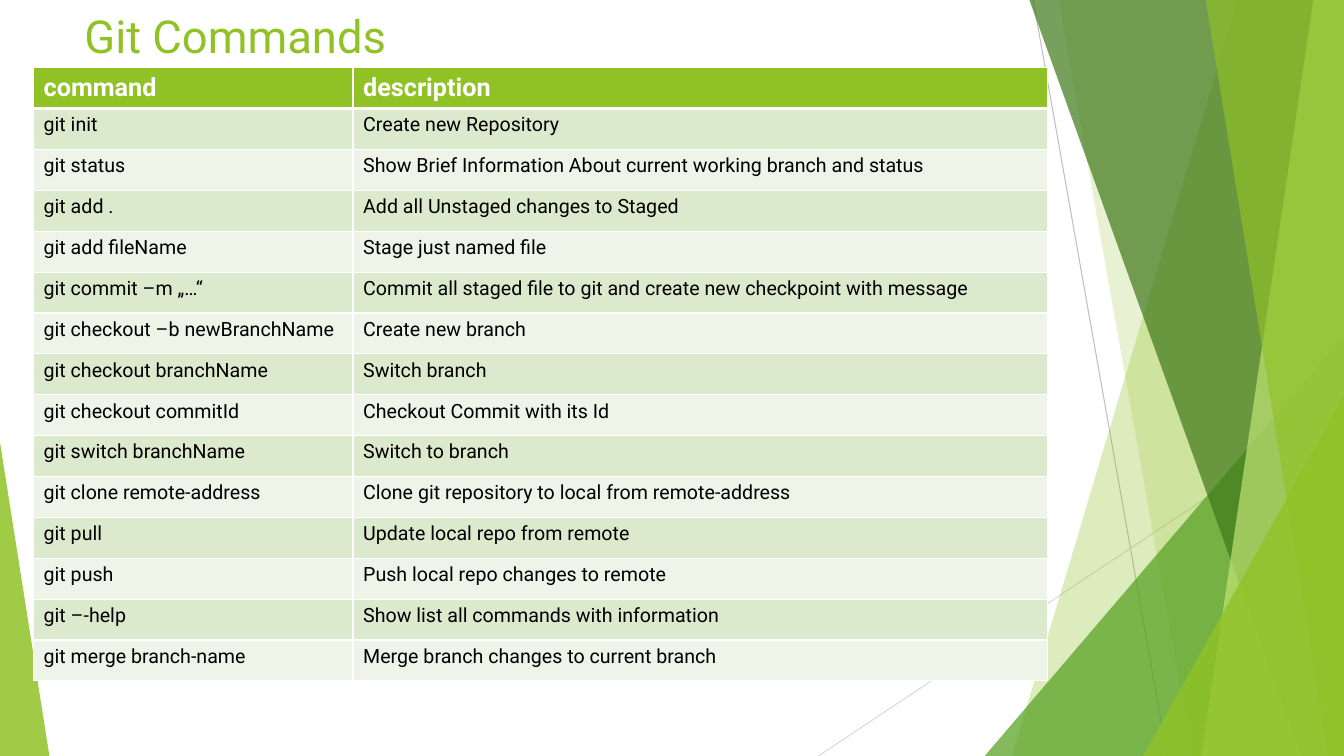
from lxml import etree
from pptx import Presentation
from pptx.dml.color import RGBColor
from pptx.enum.shapes import MSO_CONNECTOR, MSO_SHAPE
from pptx.enum.text import MSO_ANCHOR
from pptx.oxml.ns import qn
from pptx.util import Pt

WIDTH, HEIGHT = 960, 540
GREEN, WHITE, BLACK = "90C226", "FFFFFF", "000000"
BANDS = ("DBE9CD", "EEF4E8")
ROW_HEIGHT = 29.2
COLUMN_WIDTHS = (228.2, 496.1)
HEADINGS = ("command", "description")
COMMANDS = [
    ("git init", "Create new Repository"),
    ("git status", "Show Brief Information About current working branch and status"),
    ("git add .", "Add all Unstaged changes to Staged"),
    ("git add fileName", "Stage just named file"),
    ("git commit –m „…“", "Commit all staged file to git and create new checkpoint with message"),
    ("git checkout –b newBranchName", "Create new branch"),
    ("git checkout branchName", "Switch branch"),
    ("git checkout commitId", "Checkout Commit with its Id"),
    ("git switch branchName", "Switch to branch"),
    ("git clone remote-address", "Clone git repository to local from remote-address"),
    ("git pull", "Update local repo from remote"),
    ("git push", "Push local repo changes to remote"),
    ("git –-help", "Show list all commands with information"),
    ("git merge branch-name", "Merge branch changes to current branch"),
]


def paint(fill, color, opacity=100):
    """Make a fill solid; opacity is a percentage."""
    fill.solid()
    fill.fore_color.rgb = RGBColor.from_string(color)
    if opacity < 100:
        tint = fill._xPr.find(qn("a:solidFill"))[0]
        etree.SubElement(tint, qn("a:alpha"), val=str(opacity * 1000))


def finish_shape(shape, color, opacity):
    shape.shadow.inherit = False
    shape.line.fill.background()
    paint(shape.fill, color, opacity)


def add_thin_line(page, start, end, color):
    points = [Pt(value) for value in (*start, *end)]
    line = page.shapes.add_connector(MSO_CONNECTOR.STRAIGHT, *points)
    line.line.width = Pt(0.75)
    paint(line.line.fill, color)
    etree.SubElement(line._element.spPr, qn("a:effectLst"))


def add_blade(page, top_x, bottom_x, color, opacity):
    """Fill from a slanted left edge to the right side of the page."""
    top = Pt(-0.6)
    builder = page.shapes.build_freeform(Pt(top_x), top)
    builder.add_line_segments([
        (Pt(WIDTH), top), (Pt(WIDTH), Pt(HEIGHT)), (Pt(bottom_x), Pt(HEIGHT))])
    finish_shape(builder.convert_to_shape(), color, opacity)


def add_corner_triangle(page, left, top, width, apex, color, opacity):
    """Stand a triangle on the bottom edge; apex 0 is left, 1 is right."""
    triangle = page.shapes.add_shape(
        MSO_SHAPE.ISOSCELES_TRIANGLE, Pt(left), Pt(top), Pt(width), Pt(HEIGHT - top))
    triangle.adjustments[0] = apex
    finish_shape(triangle, color, opacity)


def write(frame, text, size, color, bold=False):
    span = frame.paragraphs[0].add_run()
    span.text = text
    span.font.name = "Roboto"
    span.font.size = Pt(size)
    span.font.bold = bold
    span.font.color.rgb = RGBColor.from_string(color)


def add_title(page, text):
    box = page.shapes.add_textbox(Pt(53.3), Pt(0), Pt(676.8), Pt(48.24))
    box.text_frame.word_wrap = True
    box.text_frame.vertical_anchor = MSO_ANCHOR.BOTTOM
    write(box.text_frame, text, size=32.4, color=GREEN)


def add_borders(cell, top, bottom):
    """Draw white borders, 1 pt at the sides; call before filling the cell."""
    properties = cell._tc.get_or_add_tcPr()
    for side, width in (("L", 1), ("R", 1), ("T", top), ("B", bottom)):
        border = etree.SubElement(properties, qn(f"a:ln{side}"), w=str(Pt(width)))
        solid = etree.SubElement(border, qn("a:solidFill"))
        etree.SubElement(solid, qn("a:srgbClr"), val=WHITE)


def add_command_table(page):
    rows = [HEADINGS, *COMMANDS]
    table = page.shapes.add_table(
        len(rows), len(HEADINGS), Pt(24), Pt(48.4),
        Pt(sum(COLUMN_WIDTHS)), Pt(ROW_HEIGHT * len(rows))).table
    for column, width in zip(table.columns, COLUMN_WIDTHS):
        column.width = Pt(width)
    for index, texts in enumerate(rows):
        table.rows[index].height = Pt(ROW_HEIGHT)
        heading = index == 0
        for cell, text in zip(table.rows[index].cells, texts):
            add_borders(cell, top=3 if index == 1 else 1, bottom=3 if heading else 1)
            if heading:
                paint(cell.fill, GREEN)
                write(cell.text_frame, text, size=18, color=WHITE, bold=True)
            else:
                paint(cell.fill, BANDS[(index - 1) % 2])
                write(cell.text_frame, text, size=14, color=BLACK)


def add_backdrop(page):
    add_thin_line(page, (738, 0), (833.8, HEIGHT), "BFBFBF")
    add_thin_line(page, (WIDTH, 290.2), (584.6, HEIGHT), "D9D9D9")
    add_blade(page, 884.2, 722.9, GREEN, 30)
    add_blade(page, 756, 851.8, GREEN, 20)
    add_corner_triangle(page, 703.4, 239.8, 256.6, 1, "54A021", 72)
    add_blade(page, 735.1, 929.5, "3F7819", 70)
    add_blade(page, 938.2, 858.2, "C0E474", 70)
    add_blade(page, 861.1, 949, GREEN, 65)
    add_corner_triangle(page, 816.5, 283, 143.5, 1, GREEN, 80)
    add_corner_triangle(page, 0, 316, 35.3, 0, GREEN, 85)


def main():
    deck = Presentation()
    deck.slide_width, deck.slide_height = Pt(WIDTH), Pt(HEIGHT)
    page = deck.slides.add_slide(deck.slide_layouts[6])
    add_backdrop(page)
    add_title(page, "Git Commands")
    add_command_table(page)
    deck.save("out.pptx")


if __name__ == "__main__":
    main()
